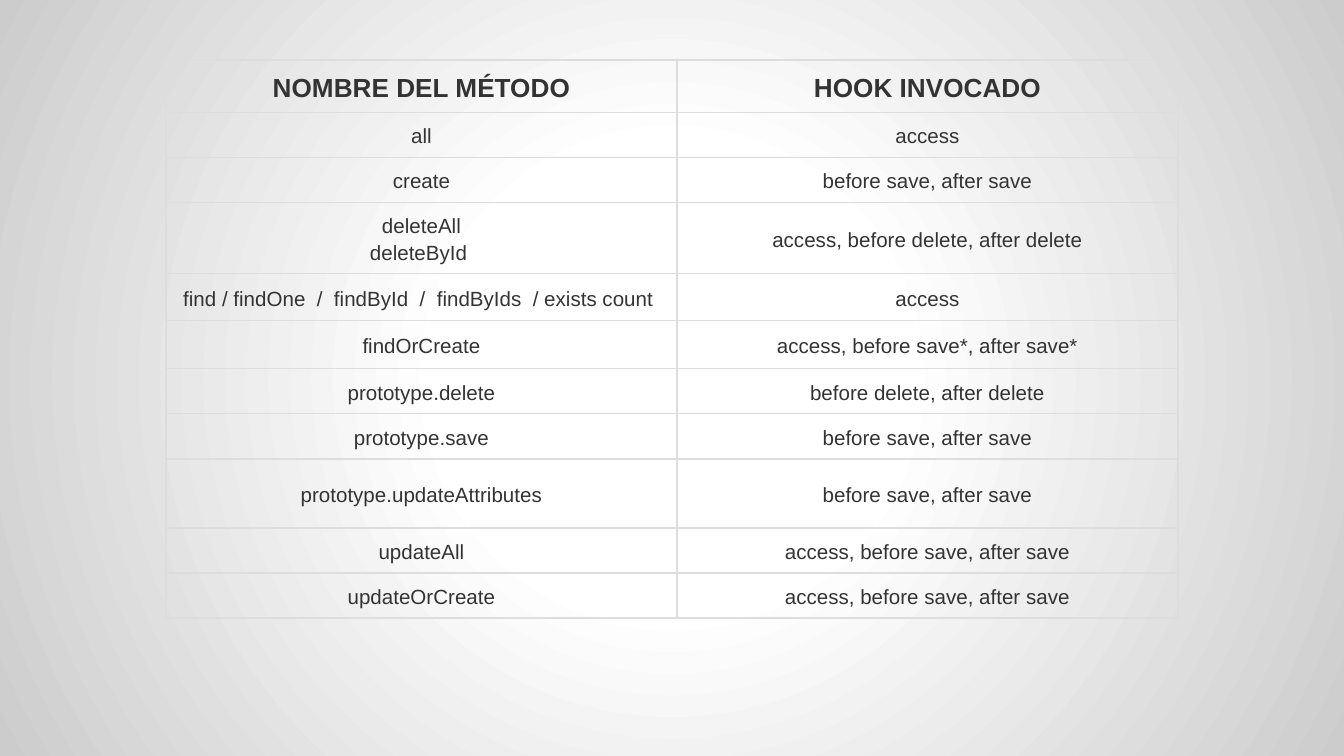
from lxml import etree
from pptx import Presentation
from pptx import util as u
from pptx.dml.color import RGBColor
from pptx.enum import text
from pptx.oxml import parse_xml
from pptx.oxml.ns import nsdecls, qn

SCALE = 9144000 / 1344
COLUMNS = (511, 501)
ROW = 43
HEIGHTS = {3: 69, 4: 47, 5: 48, 8: 69}
METHODS = [
    ("NOMBRE DEL MÉTODO", "HOOK INVOCADO"),
    ("all", "access"),
    ("create", "before save, after save"),
    ("deleteAll\ndeleteById ", "access, before delete, after delete"),
    ("find / findOne  /  findById  /  findByIds  / exists count ", "access"),
    ("findOrCreate", "access, before save*, after save*"),
    ("prototype.delete", "before delete, after delete"),
    ("prototype.save", "before save, after save"),
    ("prototype.updateAttributes", "before save, after save"),
    ("updateAll", "access, before save, after save"),
    ("updateOrCreate", "access, before save, after save"),
]


def px(n):
    """Turn pixels into EMU."""
    return u.Emu(round(n * SCALE))


def color(value):
    """Turn a hex string into a colour."""
    return RGBColor.from_string(value)


def set_background(s, stops):
    """Fill the slide with a gradient that spreads from its centre."""
    s.background.fill.solid()
    solid = s.element.find(".//" + qn("a:solidFill"))
    marks = "".join(
        f'<a:gs pos="{pos * 1000}"><a:srgbClr val="{value}"/></a:gs>'
        for pos, value in stops
    )
    gradient = parse_xml(
        f'<a:gradFill {nsdecls("a")}><a:gsLst>{marks}</a:gsLst>'
        '<a:path path="circle"><a:fillToRect l="50000" t="50000" '
        'r="50000" b="50000"/></a:path></a:gradFill>'
    )
    solid.getparent().replace(solid, gradient)


def set_borders(cell, value, width):
    """Draw the four borders of a cell."""
    tc_pr = cell._tc.get_or_add_tcPr()
    for side in ("lnL", "lnR", "lnT", "lnB"):
        line = etree.SubElement(tc_pr, qn(f"a:{side}"), w=str(u.Pt(width)))
        fill = etree.SubElement(line, qn("a:solidFill"))
        etree.SubElement(fill, qn("a:srgbClr"), val=value)


def fill_cell(cell, words, header):
    """Write and style one cell."""
    set_borders(cell, "DDDDDD", 0.75)
    cell.fill.background()
    cell.margin_left = cell.margin_right = u.Inches(0.1)
    cell.margin_top = cell.margin_bottom = u.Inches(0.07)
    cell.vertical_anchor = text.MSO_ANCHOR.TOP if header else text.MSO_ANCHOR.MIDDLE
    cell.text = words
    for p in cell.text_frame.paragraphs:
        p.alignment = text.PP_ALIGN.CENTER
        p.line_spacing = 1.15
        p.font.name = "Arial"
        p.font.size = u.Pt(14 if header else 11)
        p.font.bold = header
        p.font.color.rgb = color("333333")


def add_methods_table(s, left, top):
    """Add the table of methods and the hooks they invoke."""
    heights = [HEIGHTS.get(i, ROW) for i in range(len(METHODS))]
    table = s.shapes.add_table(
        len(METHODS), len(COLUMNS), px(left), px(top), px(sum(COLUMNS)), px(sum(heights))
    ).table
    table.first_row = table.horz_banding = False
    for column, width in zip(table.columns, COLUMNS):
        column.width = px(width)
    for i, (row, height) in enumerate(zip(table.rows, heights)):
        row.height = px(height)
        for cell, words in zip(row.cells, METHODS[i]):
            fill_cell(cell, words, header=i == 0)


def main():
    """Build the slide and save it."""
    prs = Presentation()
    prs.slide_width, prs.slide_height = px(1344), px(756)
    s = prs.slides.add_slide(prs.slide_layouts[6])
    set_background(s, [(0, "FFFFFF"), (30, "FFFFFF"), (100, "CCCCCC")])
    add_methods_table(s, 166, 60)
    prs.save("out.pptx")


if __name__ == "__main__":
    main()
